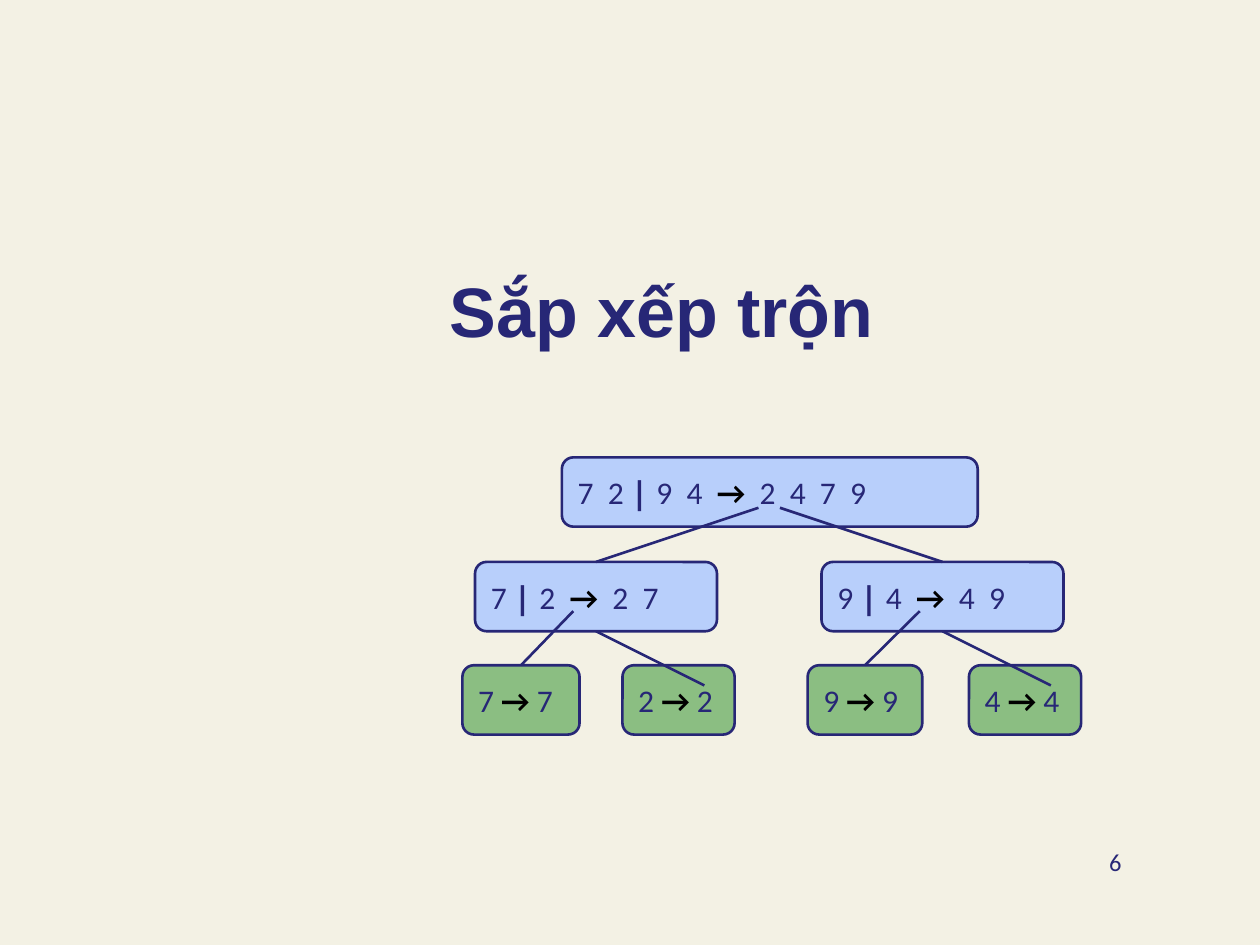
import pptx
import pptx.dml.color
import pptx.enum.shapes
import pptx.enum.text
import pptx.oxml.ns
import pptx.util
from lxml import etree

Inches = pptx.util.Inches
Pt = pptx.util.Pt
Align = pptx.enum.text.PP_ALIGN
Anchor = pptx.enum.text.MSO_ANCHOR
TOP, BOTTOM = 0, 2


def color(value):
    return pptx.dml.color.RGBColor.from_string(value)


class MergeSortSlide:
    """Holds the style and the current slide, and draws each kind of element."""

    INK, PAPER, ARROW = "272776", "F3F1E4", "000000"
    SPLIT, LEAF = "B8CFFB", "8BBE82"
    BODY_FONT, TITLE_FONT, BAR_FONT = "Calibri", "Arial", "Open Sans"
    BOX_HEIGHT, LINE_WIDTH = 0.55, 1.5

    def __init__(self, presentation):
        self.slide = presentation.slides.add_slide(presentation.slide_layouts[5])
        self.slide.background.fill.solid()
        self.slide.background.fill.fore_color.rgb = color(self.PAPER)

    def style(self, run, size, font=BODY_FONT, ink=INK, bold=False):
        run.font.size = Pt(size)
        run.font.name = font
        run.font.bold = bold
        run.font.color.rgb = color(ink)

    def title(self, text, left, top, width, height):
        heading = self.slide.shapes.title
        heading.left, heading.top = Inches(left), Inches(top)
        heading.width, heading.height = Inches(width), Inches(height)
        heading.text_frame.text = text
        heading.text_frame.vertical_anchor = Anchor.MIDDLE
        paragraph = heading.text_frame.paragraphs[0]
        paragraph.alignment = Align.CENTER
        self.style(paragraph.runs[0], 40, self.TITLE_FONT, bold=True)

    def node(self, parts, left, top, width, fill):
        box = self.slide.shapes.add_shape(
            pptx.enum.shapes.MSO_SHAPE.ROUNDED_RECTANGLE,
            Inches(left), Inches(top), Inches(width), Inches(self.BOX_HEIGHT))
        box.shadow.inherit = False
        box.fill.solid()
        box.fill.fore_color.rgb = color(fill)
        box.line.color.rgb = color(self.INK)
        box.line.width = Pt(self.LINE_WIDTH)
        box.text_frame.vertical_anchor = Anchor.MIDDLE
        paragraph = box.text_frame.paragraphs[0]
        paragraph.alignment = Align.LEFT
        for part in parts:
            run = paragraph.add_run()
            run.text = part
            if part.startswith("|"):
                self.style(run, 18, self.BAR_FONT, bold=True)
            elif part.startswith("→"):
                self.style(run, 18, ink=self.ARROW, bold=True)
            else:
                self.style(run, 18)
        return box

    def branch(self, box, side, end_x, end_y):
        link = self.slide.shapes.add_connector(
            pptx.enum.shapes.MSO_CONNECTOR.STRAIGHT,
            box.left, box.top, Inches(end_x), Inches(end_y))
        link.begin_connect(box, side)
        link.line.color.rgb = color(self.INK)
        link.line.width = Pt(self.LINE_WIDTH)
        properties = link._element.spPr
        etree.SubElement(properties, pptx.oxml.ns.qn("a:effectLst"))

    def page_number(self, text, left, top, width, height):
        number = self.slide.shapes.add_textbox(
            Inches(left), Inches(top), Inches(width), Inches(height))
        number.text_frame.word_wrap = True
        number.text_frame.text = text
        paragraph = number.text_frame.paragraphs[0]
        paragraph.alignment = Align.RIGHT
        self.style(paragraph.runs[0], 14)


def main():
    presentation = pptx.Presentation()
    presentation.slide_width, presentation.slide_height = Inches(10), Inches(7.5)
    page = MergeSortSlide(presentation)
    page.title("Sắp xếp trộn", 1, 1.83, 8.5, 1.25)

    root_top, half_top, leaf_top = 3.63, 4.46, 5.28
    page.node(["7  2 ", "| ", "9  4  ", "→  ", "2  4  7  9"],
              4.46, root_top, 3.3, page.SPLIT)

    halves = [
        (("7", "2"), "2  7", 3.77, 6.02, [(3.67, 0.93), (4.94, 0.89)]),
        (("9", "4"), "4  9", 6.52, 6.19, [(6.41, 0.91), (7.69, 0.89)]),
    ]
    branches = []
    for digits, merged, left, root_x, leaf_spans in halves:
        first, second = digits
        half = page.node([f"{first} ", "| ", f"{second}  ", "→  ", merged],
                         left, half_top, 1.92, page.SPLIT)
        leaves = [page.node([f"{digit} ", "→ ", digit],
                            leaf_left, leaf_top, leaf_width, page.LEAF)
                  for digit, (leaf_left, leaf_width) in zip(digits, leaf_spans)]
        branches += [(half, TOP, root_x, 4.03),
                     (leaves[0], TOP, left + 0.78, 4.85),
                     (half, BOTTOM, left + 1.82, 5.44)]
    for branch in branches:
        page.branch(*branch)

    page.page_number("6", 7.17, 6.67, 1.83, 0.5)
    presentation.save("out.pptx")


if __name__ == "__main__":
    main()
